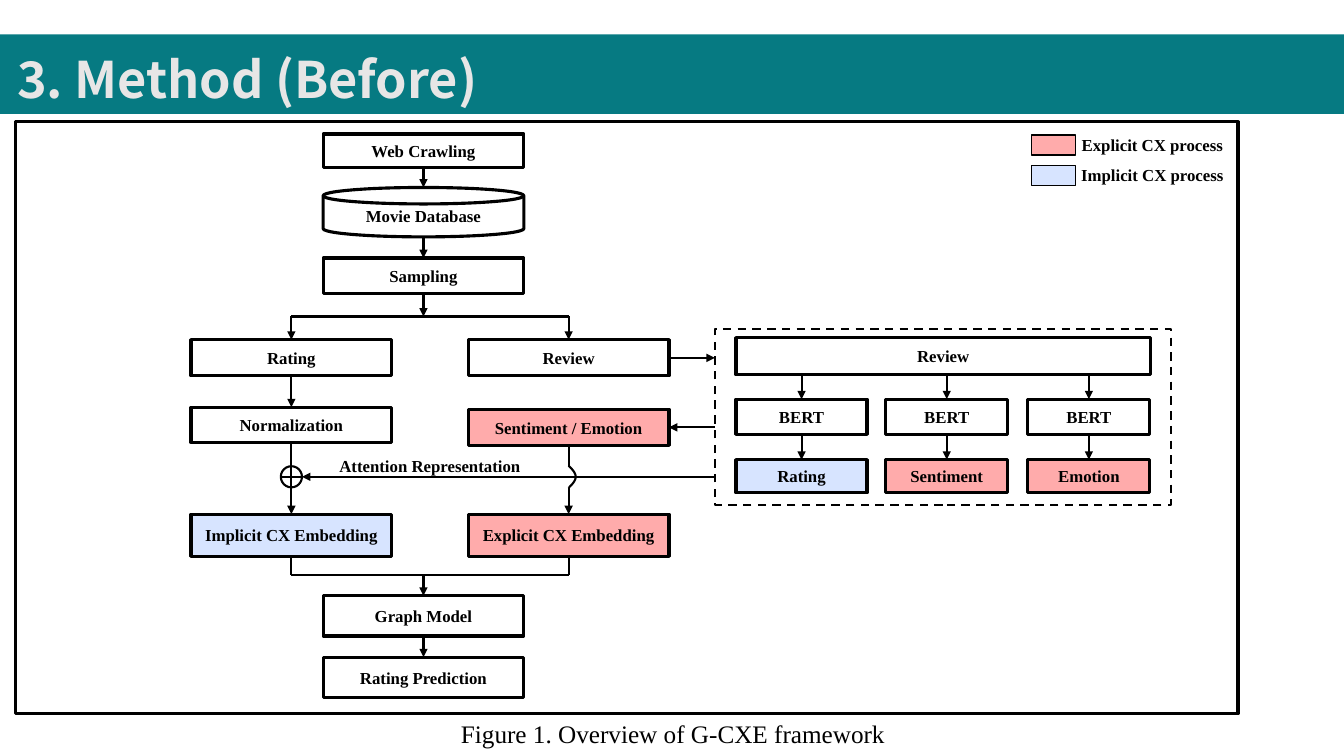
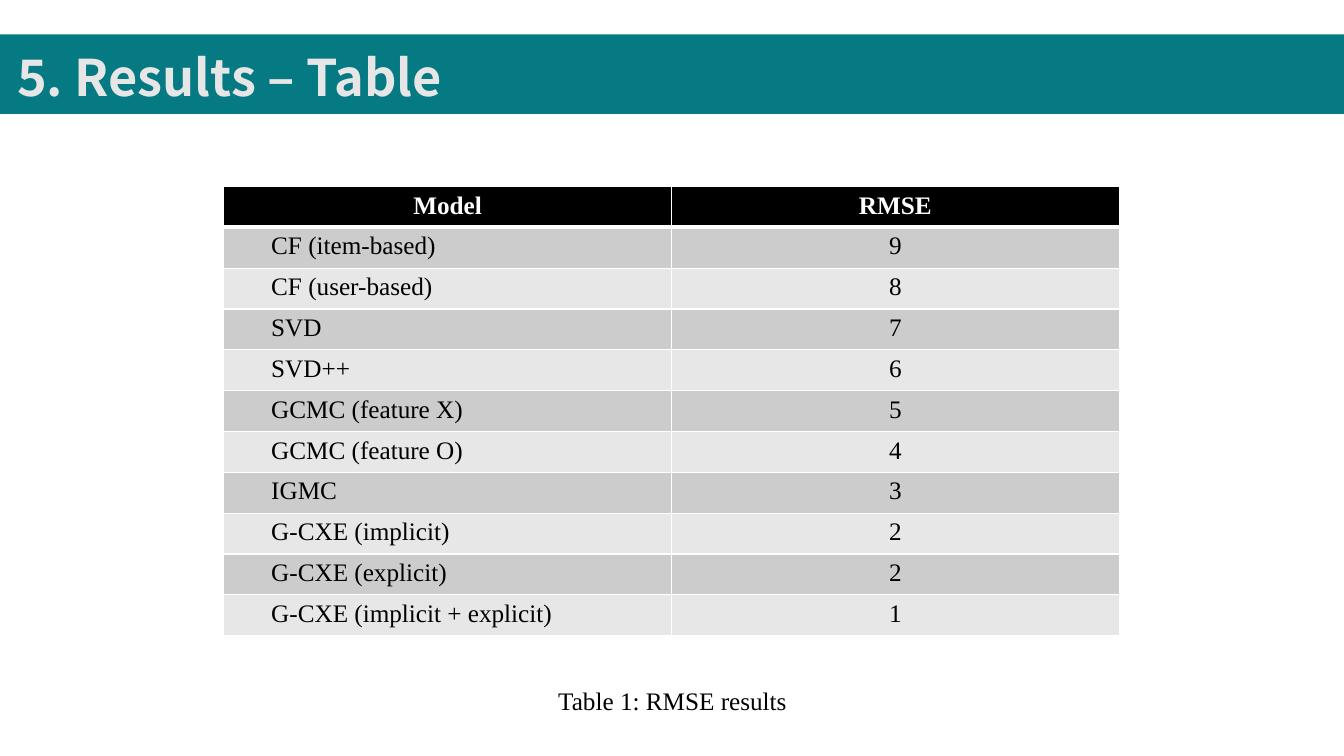
from math import pi, sin

from lxml import etree
from pptx import Presentation
from pptx.dml.color import RGBColor
from pptx.enum.dml import MSO_LINE
from pptx.enum.shapes import MSO_CONNECTOR, MSO_SHAPE
from pptx.enum.text import MSO_ANCHOR, MSO_AUTO_SIZE, PP_ALIGN
from pptx.oxml.ns import qn
from pptx.util import Inches, Pt

RECT, DISK, OR_SIGN = MSO_SHAPE.RECTANGLE, MSO_SHAPE.FLOWCHART_MAGNETIC_DISK, MSO_SHAPE.FLOWCHART_OR
LEFT, CENTER, MIDDLE, TOP = PP_ALIGN.LEFT, PP_ALIGN.CENTER, MSO_ANCHOR.MIDDLE, MSO_ANCHOR.TOP
FIT = MSO_AUTO_SIZE.SHAPE_TO_FIT_TEXT

# Shared look
PAGE_W, PAGE_H = 13.33, 7.5
TEAL, PALE, BLACK, WHITE = "067A82", "E7E6E6", "000000", "FFFFFF"
EXPLICIT, IMPLICIT = "FFABAB", "D7E4FF"
BANDS = ("CCCCCC", "E7E7E7")
SERIF = "Times New Roman"
TITLE = {"name": "Noto Sans CJK KR", "size": Pt(36), "bold": True, "color": PALE}
LABEL = {"name": SERIF, "size": Pt(12), "bold": True, "color": BLACK}
PLAIN = {"name": SERIF, "size": Pt(18), "bold": False, "color": BLACK}
HEADER = {**PLAIN, "bold": True, "color": WHITE}

# Flow chart: column centres, then chains of (text, top, height, fill)
LEFT_X, MID_X, RIGHT_X, STEP_W = 2.89, 4.2, 5.64, 1.99
FRAME = (0.15, 1.21, 12.13, 5.87)
DETAIL = (7.09, 3.26, 4.52, 1.75)
DETAIL_REVIEW = (7.3, 3.35, 4.11, 0.37)
SPLIT_Y, JOIN_Y, ATTENTION_Y = 3.14, 5.7, 4.73
CHAINS = [
    (MID_X, STEP_W, [("Web Crawling", 1.33, 0.33, None), ("Movie Database", 1.86, 0.49, None),
                     ("Sampling", 2.56, 0.35, None)]),
    (LEFT_X, STEP_W, [("Rating", 3.37, 0.36, None), ("Normalization", 4.04, 0.35, None),
                      ("Implicit CX Embedding", 5.1, 0.42, IMPLICIT)]),
    (RIGHT_X, STEP_W, [("Review", 3.37, 0.36, None)]),
    (RIGHT_X, STEP_W, [("Sentiment / Emotion", 4.06, 0.36, EXPLICIT)]),
    (RIGHT_X, STEP_W, [("Explicit CX Embedding", 5.1, 0.42, EXPLICIT)]),
    (MID_X, STEP_W, [("Graph Model", 5.91, 0.4, None), ("Rating Prediction", 6.52, 0.4, None)]),
]
BRANCHES = [(7.95, 1.3, "Rating", IMPLICIT), (9.39, 1.21, "Sentiment", EXPLICIT),
            (10.8, 1.21, "Emotion", EXPLICIT)]
LEGEND = [("Explicit CX process", EXPLICIT), ("Implicit CX process", IMPLICIT)]

RESULTS = [("Model", "RMSE"), ("CF (item-based)", "9"), ("CF (user-based)", "8"), ("SVD", "7"),
           ("SVD++", "6"), ("GCMC (feature X)", "5"), ("GCMC (feature O)", "4"), ("IGMC", "3"),
           ("G-CXE (implicit)", "2"), ("G-CXE (explicit)", "2"), ("G-CXE (implicit + explicit)", "1")]


def rgb(value):
    return RGBColor.from_string(value)


def write(frame, text, style, align=CENTER, spacing=None):
    para = frame.paragraphs[0]
    para.alignment = align
    if spacing:
        para.line_spacing = spacing
    span = para.add_run()
    span.text = text
    for key, value in style.items():
        if key == "color":
            span.font.color.rgb = rgb(value)
        else:
            setattr(span.font, key, value)


def paint(shape, fill=None, line=BLACK, width=2.25):
    shape.shadow.inherit = False
    if fill:
        shape.fill.solid()
        shape.fill.fore_color.rgb = rgb(fill)
    else:
        shape.fill.background()
    if line:
        shape.line.color.rgb = rgb(line)
        shape.line.width = Pt(width)
    else:
        shape.line.fill.background()


def add_box(page, area, text="", kind=RECT, **look):
    box = page.shapes.add_shape(kind, *map(Inches, area))
    paint(box, **look)
    if text:
        box.text_frame.vertical_anchor = MIDDLE
        write(box.text_frame, text, LABEL)
    return box


def add_text(page, area, text, style):
    frame = page.shapes.add_textbox(*map(Inches, area)).text_frame
    frame.word_wrap, frame.auto_size, frame.vertical_anchor = True, FIT, TOP
    write(frame, text, style)


def add_link(page, start, end, arrow=True):
    link = page.shapes.add_connector(MSO_CONNECTOR.STRAIGHT, *map(Inches, (*start, *end)))
    link.line.color.rgb = rgb(BLACK)
    link.line.width = Pt(1.5)
    properties = link.element.spPr
    if arrow:
        etree.SubElement(properties.find(qn("a:ln")), qn("a:tailEnd"), type="triangle")
    etree.SubElement(properties, qn("a:effectLst"))


def add_chain(page, center, width, steps):
    for index, (text, top, height, fill) in enumerate(steps):
        kind = DISK if "Database" in text else RECT
        add_box(page, (center - width / 2, top, width, height), text, kind, fill=fill)
        if index + 1 < len(steps):
            add_link(page, (center, top + height), (center, steps[index + 1][1]))


def add_page(deck, title, title_top):
    page = deck.slides.add_slide(deck.slide_layouts[5])
    band = add_box(page, (0, 0.34, PAGE_W, 0.79), fill=TEAL, line=None)
    page.shapes.element.insert(2, band.element)  # behind the title
    heading = page.shapes.title
    heading.left, heading.top, heading.width, heading.height = map(
        Inches, (0.07, title_top, PAGE_W - 0.07, 0.92))
    frame = heading.text_frame
    frame.word_wrap, frame.auto_size, frame.vertical_anchor = True, FIT, MIDDLE
    write(frame, title, TITLE, LEFT, 1.5)
    return page


def set_borders(cell, bottom, top):
    properties = cell._tc.get_or_add_tcPr()
    for index, (side, width) in enumerate((("L", 1), ("R", 1), ("T", top), ("B", bottom))):
        border = etree.Element(qn(f"a:ln{side}"), w=str(Pt(width)))
        fill = etree.SubElement(border, qn("a:solidFill"))
        etree.SubElement(fill, qn("a:srgbClr"), val=WHITE)
        properties.insert(index, border)


def build_method(deck):
    page = add_page(deck, "3. Method (Before)", 0.17)
    add_box(page, FRAME)
    for chain in CHAINS:
        add_chain(page, *chain)

    # Split after sampling, join before the graph model
    add_link(page, (MID_X, 2.91), (MID_X, SPLIT_Y))
    add_link(page, (MID_X, JOIN_Y), (MID_X, 5.91))
    for y in (SPLIT_Y, JOIN_Y):
        add_link(page, (LEFT_X, y), (RIGHT_X, y), arrow=False)
    for x in (LEFT_X, RIGHT_X):
        add_link(page, (x, SPLIT_Y), (x, 3.37))
        add_link(page, (x, 5.52), (x, JOIN_Y), arrow=False)

    # Dashed detail area
    detail = add_box(page, DETAIL, width=1.5)
    detail.line.dash_style = MSO_LINE.DASH
    add_box(page, DETAIL_REVIEW, "Review")
    for center, width, target, fill in BRANCHES:
        add_link(page, (center, 3.72), (center, 3.96))
        add_chain(page, center, width, [("BERT", 3.96, 0.35, None), (target, 4.56, 0.33, fill)])
    detail_x, step_edge = DETAIL[0], RIGHT_X + STEP_W / 2
    add_link(page, (step_edge, 3.55), (detail_x, 3.55))
    add_link(page, (detail_x, 4.24), (step_edge, 4.24))

    # Attention line, the bump over it, and the sum sign
    radius = 0.105
    add_link(page, (detail_x, ATTENTION_Y), (LEFT_X + radius, ATTENTION_Y))
    add_box(page, (LEFT_X - radius, ATTENTION_Y - radius, 2 * radius, 2 * radius),
            kind=OR_SIGN, fill=WHITE, width=1.5)
    bump_top, bump_h, count = 4.62, 0.22, 16
    points = [(Inches(RIGHT_X + 0.07 * sin(pi * i / count)), Inches(bump_top + bump_h * i / count))
              for i in range(count + 1)]
    outline = page.shapes.build_freeform(*points[0])
    outline.add_line_segments(points[1:], close=False)
    paint(outline.convert_to_shape(), width=1.5)
    add_link(page, (RIGHT_X, 4.42), (RIGHT_X, bump_top), arrow=False)
    add_link(page, (RIGHT_X, bump_top + bump_h), (RIGHT_X, 5.1))
    add_text(page, (3.18, 4.47, 2.17, 0.3), "Attention Representation", LABEL)

    # Legend and caption
    for index, (text, fill) in enumerate(LEGEND):
        top = 1.29 + 0.3 * index
        add_box(page, (10.23, top + 0.05, 0.44, 0.2), fill=fill, width=1)
        add_text(page, (10.6, top, 1.66, 0.3), text, LABEL)
    add_text(page, (4.09, 7.08, 5.17, 0.4), "Figure 1. Overview of G-CXE framework", PLAIN)


def build_results(deck):
    page = add_page(deck, "5. Results – Table", 0.15)
    area = map(Inches, (2.22, 1.85, 8.88, 4.46))
    table = page.shapes.add_table(len(RESULTS), 2, *area).table
    for row, record in enumerate(RESULTS):
        for column, text in enumerate(record):
            cell = table.cell(row, column)
            cell.fill.solid()
            cell.fill.fore_color.rgb = rgb(BANDS[(row - 1) % 2] if row else BLACK)
            set_borders(cell, bottom=1 if row else 3, top=3 if row == 1 else 1)
            is_name = row > 0 and column == 0
            if is_name:
                cell.margin_left = Inches(0.47)
            write(cell.text_frame, text, PLAIN if row else HEADER, LEFT if is_name else CENTER)
    add_text(page, (4.1, 6.75, 5.14, 0.4), "Table 1: RMSE results", PLAIN)


def main():
    deck = Presentation()
    deck.slide_width, deck.slide_height = Inches(PAGE_W), Inches(PAGE_H)
    build_method(deck)
    build_results(deck)
    deck.save("out.pptx")


if __name__ == "__main__":
    main()
